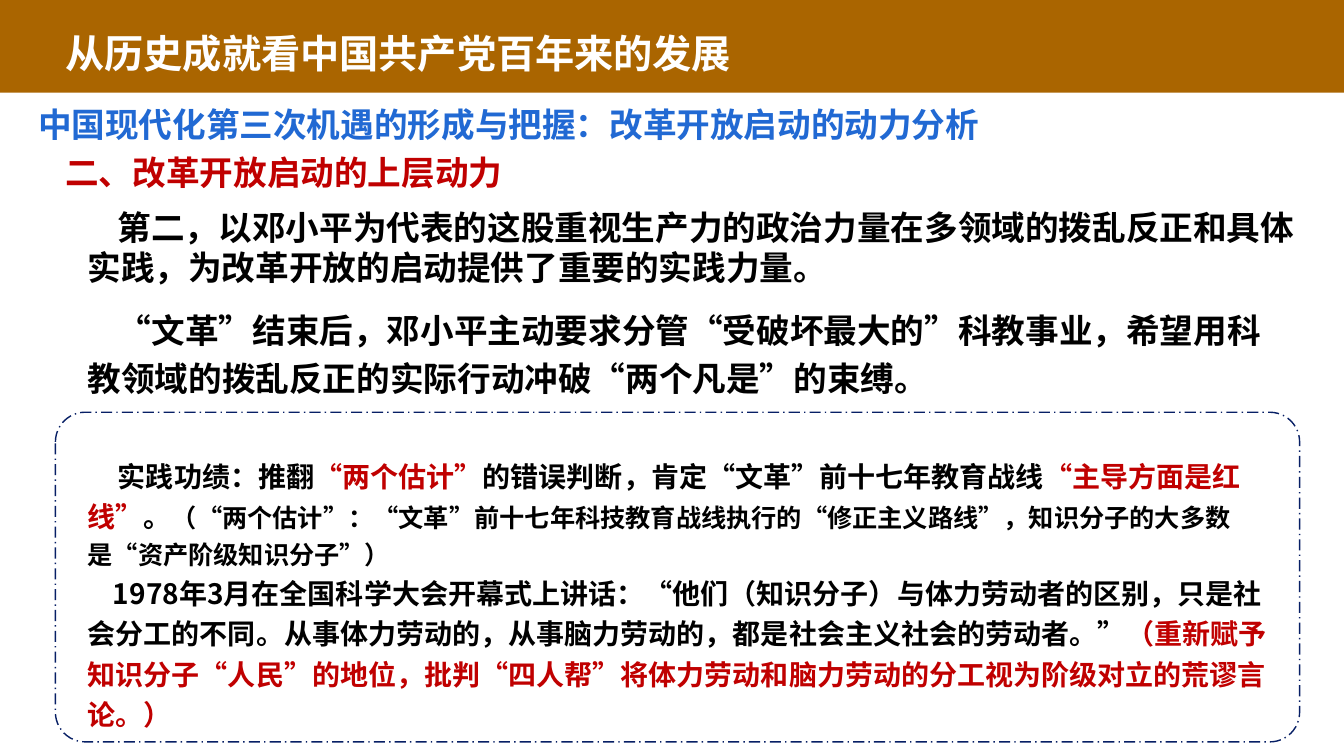
"""Build the slide on the upper-level drive behind reform and opening up."""
from dataclasses import dataclass

from pptx import Presentation
from pptx.dml.color import RGBColor
from pptx.enum.dml import MSO_LINE
from pptx.enum.shapes import MSO_SHAPE
from pptx.enum.text import MSO_ANCHOR, MSO_AUTO_SIZE, PP_ALIGN
from pptx.oxml.ns import qn
from pptx.shapes.autoshape import Shape
from pptx.slide import Slide
from pptx.text.text import TextFrame
from pptx.util import Inches, Pt
from lxml import etree

RECT, ROUND = MSO_SHAPE.RECTANGLE, MSO_SHAPE.ROUNDED_RECTANGLE
TOP, LEFT, FIXED = MSO_ANCHOR.TOP, PP_ALIGN.LEFT, MSO_AUTO_SIZE.NONE
DASH = MSO_LINE.LONG_DASH_DOT
FONT = "Noto Sans CJK SC"
COLORS = {
    "band": "AA6500", "frame": "071F65", "black": "000000",
    "red": "C00000", "blue": "2169D3", "white": "FFFFFF",
}
Box = tuple[float, float, float, float]


@dataclass(frozen=True)
class Span:
    """A stretch of text in one colour and size."""
    text: str
    color: str = "black"
    size: int = 24


@dataclass(frozen=True)
class Para:
    """A paragraph with its indent in inches and space before in points."""
    spans: tuple[Span, ...]
    indent: float = 0
    before: int = 0
    pitch: float = 1.0


@dataclass(frozen=True)
class Block:
    """A block of paragraphs and its place."""
    box: Box
    paras: tuple[Para, ...]
    wrap: bool = True


TITLE = Block((0.55, 0.24, 7.32, 0.57), (
    Para((Span("从历史成就看中国共产党百年来的发展", "white", 28),)),
))
BODY = Block((0.77, 2.94, 11.94, 4.42), (
    Para((
        Span("“文革”结束后，邓小平主动要求分管“受破坏最大的”科教事业，"
             "希望用科教领域的拨乱反正的实际行动冲破“两个凡是”的束缚。"),
    ), 0.3, 0, 1.2),
    Para((
        Span("实践功绩：推翻", size=20),
        Span("“两个估计”", "red", 20),
        Span("的错误判断，肯定“文革”前十七年教育战线", size=20),
        Span("“主导方面是红线”", "red", 20),
        Span("。", size=20),
        Span("（“两个估计”：“文革”前十七年科技教育战线执行的“修正主义路线”，"
             "知识分子的大多数是“资产阶级知识分子”）", size=18),
    ), 0.3, 39, 1.2),
    Para((
        Span("1978年3月在全国科学大会开幕式上讲话：“他们（知识分子）与体力劳动者的区别，"
             "只是社会分工的不同。从事体力劳动的，从事脑力劳动的，"
             "都是社会主义社会的劳动者。”", size=20),
        Span("（重新赋予知识分子“人民”的地位，批判“四人帮”将体力劳动和脑力劳动的分工"
             "视为阶级对立的荒谬言论。）", "red", 20),
    ), 0.25, 0, 1.2),
))
NOTES = (
    Block((0.77, 2, 12.24, 0.91), (
        Para((
            Span("第二，以邓小平为代表的这股重视生产力的政治力量在多领域的拨乱反正和具体实践，"
                 "为改革开放的启动提供了重要的实践力量。"),
        ), 0.3),
    )),
    Block((0.55, 1.46, 4.55, 0.5), (
        Para((Span("二、改革开放启动的上层动力", "red"),)),
    ), False),
    Block((0.28, 0.98, 9.57, 0.5), (
        Para((Span("中国现代化第三次机遇的形成与把握：改革开放启动的动力分析", "blue"),)),
    ), False),
)


def apply(target: object, values: dict[str, object]) -> None:
    """Set each named value on the target."""
    for name, value in values.items():
        setattr(target, name, value)


def place(shape: Shape, box: Box) -> None:
    """Move and size a shape in inches."""
    apply(shape, dict(zip(("left", "top", "width", "height"), map(Inches, box))))


def write(frame: TextFrame, block: Block) -> None:
    """Write the paragraphs of a block into a text frame."""
    apply(frame, {"word_wrap": block.wrap, "auto_size": FIXED, "vertical_anchor": TOP})
    for index, para in enumerate(block.paras):
        line = frame.add_paragraph() if index else frame.paragraphs[0]
        apply(line, {
            "alignment": LEFT, "line_spacing": para.pitch,
            "space_before": Pt(para.before), "space_after": Pt(0),
        })
        props = line._p.get_or_add_pPr()
        props.set("marL", "0")
        props.set("indent", str(Inches(para.indent)))
        etree.SubElement(props, qn("a:buNone"))
        for span in para.spans:
            run = line.add_run()
            run.text = span.text
            apply(run.font, {"name": FONT, "size": Pt(span.size), "bold": True})
            run.font.color.rgb = RGBColor.from_string(COLORS[span.color])
            east = etree.SubElement(run.font._element, qn("a:ea"))
            east.set("typeface", FONT)


def fill(shape: Shape, block: Block) -> None:
    """Place a shape and write its block."""
    place(shape, block.box)
    write(shape.text_frame, block)


def draw_band(slide: Slide) -> None:
    """Draw the title band behind all else."""
    band = slide.shapes.add_shape(RECT, *map(Inches, (-0.01, 0, 13.35, 0.92)))
    band.shadow.inherit = False
    band.fill.solid()
    band.fill.fore_color.rgb = RGBColor.from_string(COLORS["band"])
    band.line.fill.background()
    slide.shapes.element.insert(2, band.element)


def draw_frame(slide: Slide) -> None:
    """Draw the dashed frame round the deeds."""
    frame = slide.shapes.add_shape(ROUND, *map(Inches, (0.55, 4.09, 12.34, 3.27)))
    frame.shadow.inherit = False
    frame.adjustments[0] = 0.09
    frame.fill.background()
    frame.line.color.rgb = RGBColor.from_string(COLORS["frame"])
    apply(frame.line, {"width": Pt(1), "dash_style": DASH})


def main() -> None:
    """Build and save the slide."""
    deck = Presentation()
    apply(deck, {"slide_width": Inches(13.33), "slide_height": Inches(7.5)})
    slide = deck.slides.add_slide(deck.slide_layouts[1])
    draw_band(slide)
    fill(slide.shapes.title, TITLE)
    fill(slide.placeholders[1], BODY)
    draw_frame(slide)
    for note in NOTES:
        fill(slide.shapes.add_textbox(*map(Inches, note.box)), note)
    deck.save("out.pptx")


if __name__ == "__main__":
    main()
